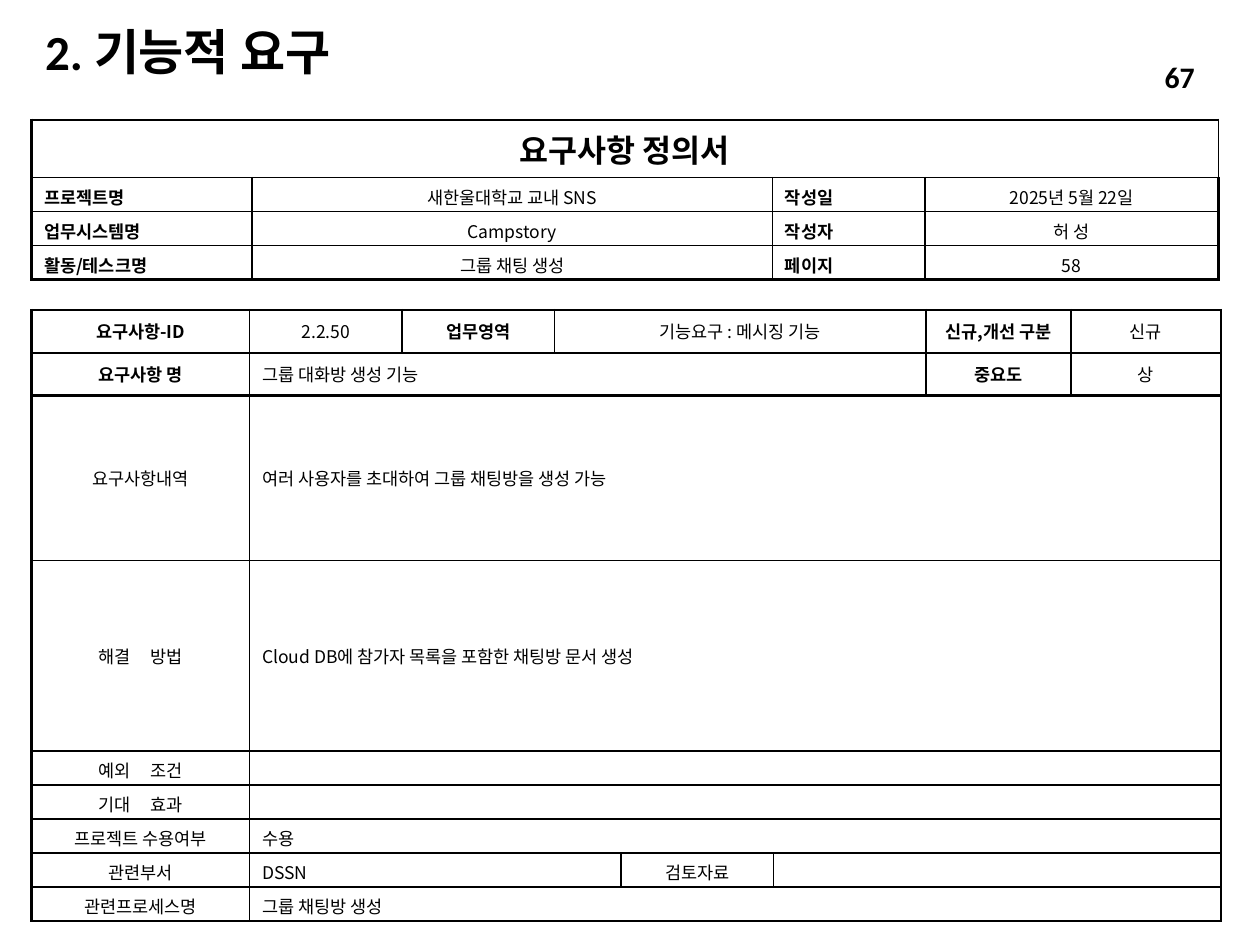
from lxml.etree import SubElement
from pptx import Presentation
from pptx.dml.color import RGBColor
from pptx.enum.text import MSO_ANCHOR, PP_ALIGN
from pptx.oxml.ns import qn
from pptx.util import Inches, Pt

BLACK = RGBColor(0, 0, 0)
LATIN, KOREAN = "Calibri", "Noto Sans CJK KR"
THIN, THICK = 1, 1.5
WIDE_GAP = 900  # letter spacing of a widened space, 1/100 pt

# Cell styles: alignment and weight
HEAD = {"align": PP_ALIGN.CENTER, "bold": True}
LABEL = {"align": PP_ALIGN.JUSTIFY, "bold": True}
VALUE = {"align": PP_ALIGN.CENTER, "bold": False}
SPREAD = {**VALUE, "spread": True}
BODY = {"align": PP_ALIGN.LEFT, "bold": False}
TITLE = {**HEAD, "size": 18}

# Rows of (text, columns spanned, style)
INFO_COLS = [1.75, 4.13, 1.21, 2.33]
INFO_HEIGHTS = [0.46] + [0.27] * 3
INFO = [[("요구사항 정의서", 4, TITLE)]] + [
    [(name, 1, LABEL), (value, 1, VALUE), (name2, 1, LABEL), (value2, 1, VALUE)]
    for name, value, name2, value2 in [
        ("프로젝트명", "새한울대학교 교내 SNS", "작성일", "2025년 5월 22일"),
        ("업무시스템명", "Campstory", "작성자", "허 성"),
        ("활동/테스크명", "그룹 채팅 생성", "페이지", "58"),
    ]
]
DETAIL_COLS = [1.73, 1.21, 1.21, 0.53, 1.21, 1.21, 1.15, 1.19]
DETAIL_HEIGHTS = [0.34, 0.34, 1.31, 1.51] + [0.27] * 5
DETAIL = [
    [("요구사항-ID", 1, HEAD), ("2.2.50", 1, VALUE), ("업무영역", 1, HEAD),
     ("기능요구 : 메시징 기능", 3, VALUE), ("신규,개선 구분", 1, HEAD), ("신규", 1, VALUE)],
    [("요구사항 명", 1, HEAD), ("그룹 대화방 생성 기능", 5, BODY),
     ("중요도", 1, HEAD), ("상", 1, VALUE)],
    [("요구사항내역", 1, VALUE), ("여러 사용자를 초대하여 그룹 채팅방을 생성 가능", 7, BODY)],
    [("해결 방법", 1, SPREAD), ("Cloud DB에 참가자 목록을 포함한 채팅방 문서 생성", 7, BODY)],
    [("예외 조건", 1, SPREAD), ("", 7, BODY)],
    [("기대 효과", 1, SPREAD), ("", 7, BODY)],
    [("프로젝트 수용여부", 1, VALUE), ("수용", 7, BODY)],
    [("관련부서", 1, VALUE), ("DSSN", 3, BODY), ("검토자료", 1, VALUE), ("", 3, BODY)],
    [("관련프로세스명", 1, VALUE), ("그룹 채팅방 생성", 7, BODY)],
]


def add_run(p, text, size, bold, font=KOREAN):
    r = p.add_run()
    r.text = text
    for key, value in {"size": Pt(size), "bold": bold, "name": font}.items():
        setattr(r.font, key, value)
    r.font.color.rgb = BLACK
    SubElement(r.font._element, qn("a:ea"), typeface=KOREAN)
    return r


def fill_text(p, text, align, bold, size=10, spread=False):
    p.alignment = align
    p.space_before = Pt(size * 0.2)
    if not text:  # keeps an empty row low
        SubElement(p._p, qn("a:endParaRPr"), sz=str(size * 100))
    elif spread:
        first, last = text.split(" ")
        add_run(p, first, size, bold)
        add_run(p, " ", size, bold).font._element.set("spc", str(WIDE_GAP))
        add_run(p, last, size, bold)
    else:
        add_run(p, text, size, bold)


def set_borders(cell, **widths):
    tcPr = cell._tc.get_or_add_tcPr()
    for side in "LRTB":
        if side in widths:
            ln = SubElement(tcPr, qn(f"a:ln{side}"), w=str(Pt(widths[side])))
            SubElement(SubElement(ln, qn("a:solidFill")), qn("a:srgbClr"), val=str(BLACK))


def add_form(s, left, top, cols, heights, rows, thick_lines, thick_right, top_rows=()):
    """Ruled form; thick_lines are the row lines, thick_right and top_rows the rows."""
    table = s.shapes.add_table(len(rows), len(cols), Inches(left), Inches(top),
                               Inches(sum(cols)), Inches(sum(heights))).table
    table.first_row = table.horz_banding = False
    for column, width in zip(table.columns, cols):
        column.width = Inches(width)
    for row, height in zip(table.rows, heights):
        row.height = Inches(height)

    for i, row in enumerate(rows):
        lines = {"T": THICK if i in thick_lines else THIN,
                 "B": THICK if i + 1 in thick_lines else THIN}
        start = 0
        for text, span, style in row:
            end = start + span - 1
            left_line = THIN if start else THICK
            right_line = THICK if end == len(cols) - 1 and i in thick_right else THIN
            cell = table.cell(i, start)
            if span > 1:
                cell.merge(table.cell(i, end))
            for c in range(start, end + 1):
                edges = dict(lines)
                if c == start:
                    edges["L"] = left_line
                if c in (start, end):
                    edges["R"] = right_line
                set_borders(table.cell(i, c), **edges)
                table.cell(i, c).fill.background()
            cell.vertical_anchor = MSO_ANCHOR.TOP if i in top_rows else MSO_ANCHOR.MIDDLE
            fill_text(cell.text_frame.paragraphs[0], text, **style)
            start = end + 1


def add_label(s, left, top, width, height, text, size, align):
    tf = s.shapes.add_textbox(*map(Inches, (left, top, width, height))).text_frame
    tf.word_wrap = True
    tf.vertical_anchor = MSO_ANCHOR.MIDDLE
    p = tf.paragraphs[0]
    p.alignment = align
    add_run(p, text, size, True, LATIN)
    return p


def main():
    prs = Presentation()
    prs.slide_width, prs.slide_height = Inches(10), Inches(7.5)
    s = prs.slides.add_slide(prs.slide_layouts[6])

    # Heading and page number
    heading = add_label(s, 0.26, 0.21, 5.36, 0.44, "2. 기능적 요구", 28, PP_ALIGN.LEFT)
    heading.line_spacing = 0.9
    add_label(s, 7.96, 0.41, 1.62, 0.4, "67", 17, PP_ALIGN.RIGHT)

    # Requirement details, then document information
    add_form(s, 0.25, 2.46, DETAIL_COLS, DETAIL_HEIGHTS, DETAIL, {0, 1, 2, 9}, {0, 1})
    add_form(s, 0.25, 0.95, INFO_COLS, INFO_HEIGHTS, INFO, {0, 4}, {1, 2, 3}, {1, 2, 3})

    prs.save("out.pptx")


if __name__ == "__main__":
    main()
